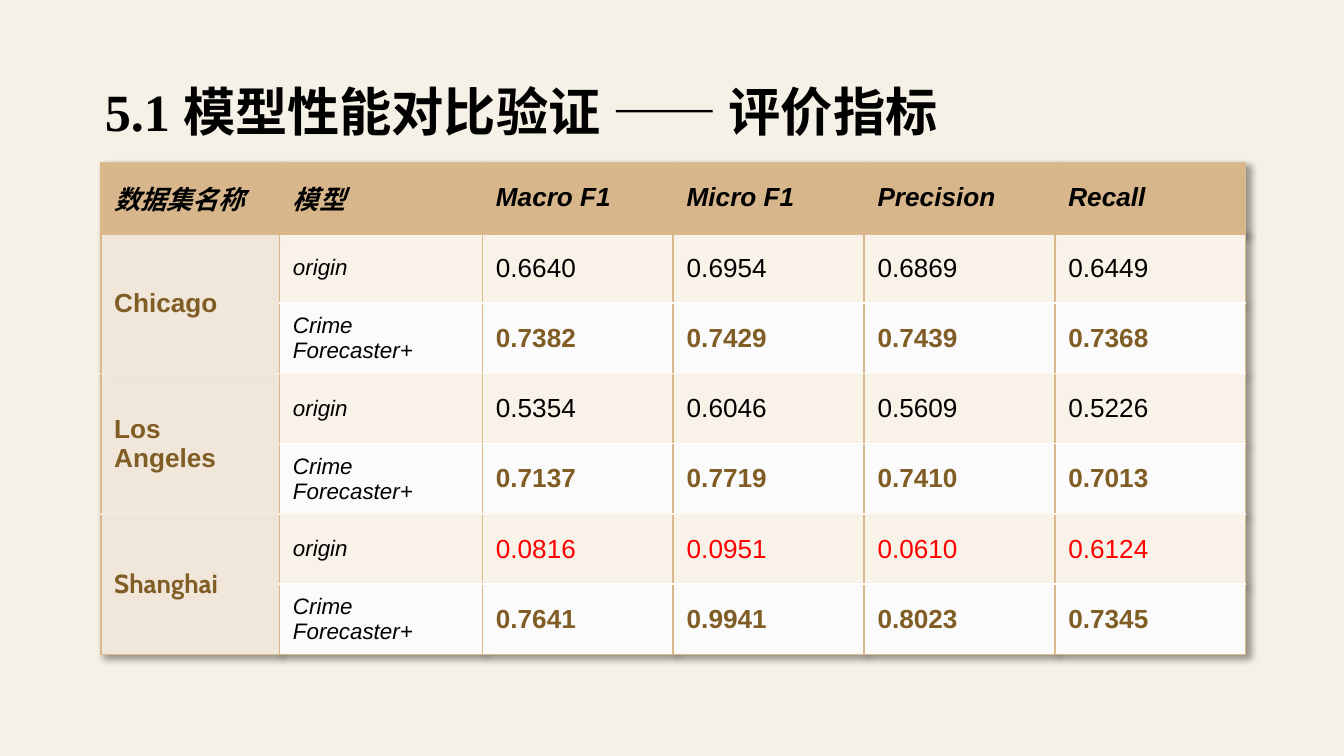
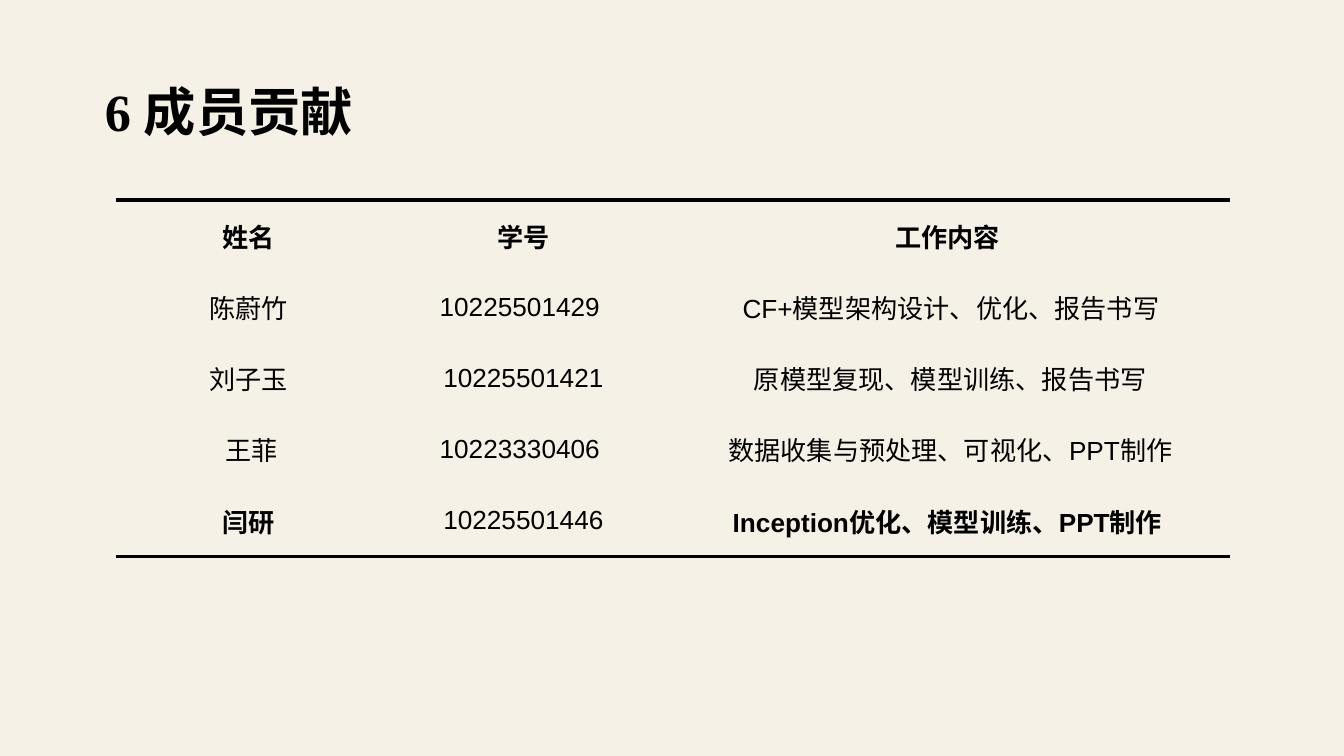
from lxml.etree import SubElement
from pptx import Presentation
from pptx.dml.color import RGBColor
from pptx.enum.text import MSO_ANCHOR as ANCHOR, PP_ALIGN as ALIGN
from pptx.oxml import parse_xml
from pptx.oxml.ns import nsdecls, qn
from pptx.util import Inches, Pt

PAPER = RGBColor(0xF6, 0xF1, 0xE7)
TAN = RGBColor(0xDA, 0xB8, 0x8B)
SAND = RGBColor(0xF3, 0xE9, 0xDD)
CREAM = RGBColor(0xFD, 0xF6, 0xEC)
WHITE = RGBColor(0xFF, 0xFF, 0xFF)
BLACK = RGBColor(0, 0, 0)
BROWN = RGBColor(0x80, 0x5D, 0x24)
RED = RGBColor(0xFF, 0, 0)

TITLE_FONT = "Times New Roman"
BODY_FONT = "Arial"
NO_STYLE = "{2D5ABB26-0587-4C30-8999-92F81FD0307C}"

METRIC_HEAD = ["数据集名称", "模型", "Macro F1", "Micro F1", "Precision", "Recall"]
# dataset, scores of the origin model, scores of Crime Forecaster+
RESULTS = [
    ("Chicago", ["0.6640", "0.6954", "0.6869", "0.6449"],
     ["0.7382", "0.7429", "0.7439", "0.7368"]),
    ("Los Angeles", ["0.5354", "0.6046", "0.5609", "0.5226"],
     ["0.7137", "0.7719", "0.7410", "0.7013"]),
    ("Shanghai", ["0.0816", "0.0951", "0.0610", "0.6124"],
     ["0.7641", "0.9941", "0.8023", "0.7345"]),
]
MEMBERS = [
    ("姓名", "学号", "工作内容"),
    ("陈蔚竹", "10225501429 ", " CF+模型架构设计、优化、报告书写"),
    ("刘子玉", "10225501421", " 原模型复现、模型训练、报告书写"),
    (" 王菲", "10223330406 ", " 数据收集与预处理、可视化、PPT制作"),
    ("闫研", "10225501446", "Inception优化、模型训练、PPT制作"),
]


def add_run(p, text, size=14, color=BLACK, bold=False, italic=False, font=BODY_FONT):
    r = p.add_run()
    r.text = text
    f = r.font
    f.name, f.size, f.bold, f.italic = font, Pt(size), bold, italic
    f.color.rgb = color


def add_titled_slide(prs, title):
    s = prs.slides.add_slide(prs.slide_layouts[6])
    s.background.fill.solid()
    s.background.fill.fore_color.rgb = PAPER
    tf = s.shapes.add_textbox(Inches(0.78), Inches(0.59), Inches(8.44), Inches(0.47)).text_frame
    tf.word_wrap = True
    tf.margin_left = tf.margin_top = tf.margin_right = tf.margin_bottom = 0
    add_run(tf.paragraphs[0], title, 28, bold=True, font=TITLE_FONT)
    return s


def add_plain_table(s, left, top, widths, height, rows):
    """Add a table with no style, its rows equally high."""
    frame = s.shapes.add_table(rows, len(widths), Inches(left), Inches(top),
                               Inches(sum(widths)), Inches(height))
    table = frame.table
    table.first_row = table.horz_banding = False
    table._tbl.tblPr.find(qn("a:tableStyleId")).text = NO_STYLE
    for col, width in zip(table.columns, widths):
        col.width = Inches(width)
    for row in table.rows:
        row.height = Inches(height / rows)
    return table


def add_shadow(table):
    table._tbl.tblPr.insert(0, parse_xml(
        f'<a:effectLst {nsdecls("a")}><a:outerShdw blurRad="50800" dist="38100" '
        'dir="2700000" algn="tl" rotWithShape="0"><a:srgbClr val="000000">'
        '<a:alpha val="40000"/></a:srgbClr></a:outerShdw></a:effectLst>'))


def fill_cell(cell, color, opacity=100):
    cell.fill.solid()
    cell.fill.fore_color.rgb = color
    if opacity < 100:
        rgb = cell._tc.tcPr.find(qn("a:solidFill"))[0]
        SubElement(rgb, qn("a:alpha"), val=str(opacity * 1000))


def set_borders(cell, **edges):
    """Draw edges L, R, T, B, each given as (colour, points)."""
    present = [side for side in "LRTB" if side in edges]
    for i, side in enumerate(present):
        color, width = edges[side]
        cell._tc.get_or_add_tcPr().insert(i, parse_xml(
            f'<a:ln{side} {nsdecls("a")} w="{Pt(width)}"><a:solidFill>'
            f'<a:srgbClr val="{color}"/></a:solidFill></a:ln{side}>'))


def write_cell(cell, text, align=None, **style):
    cell.vertical_anchor = ANCHOR.MIDDLE
    p = cell.text_frame.paragraphs[0]
    if align is not None:
        p.alignment = align
    add_run(p, text, **style)


def write_model_row(table, i, model, scores, **style):
    write_cell(table.cell(i, 1), model, size=12, italic=True)
    for j, score in enumerate(scores, 2):
        write_cell(table.cell(i, j), score, **style)


def paint_metric_table(table):
    """Colour header, dataset column and alternating model rows."""
    outer, heavy = (TAN, 1), (TAN, 3)
    model_lines = [outer, heavy] + [(WHITE, 1), (CREAM, 1)] * 2 + [(WHITE, 1), outer]
    # a merged cell takes its lower edge from its first row
    dataset_lines = [outer, heavy] + [(SAND, 1)] * 4 + [outer, outer]
    for i in range(len(table.rows)):
        for j in range(len(table.columns)):
            color = TAN if i == 0 else SAND if j == 0 else CREAM if i % 2 else WHITE
            lines = model_lines if j else dataset_lines
            fill_cell(table.cell(i, j), color, 97)
            set_borders(table.cell(i, j), L=outer, R=outer, T=lines[i], B=lines[i + 1])


def add_metric_table(s):
    table = add_plain_table(s, 0.75, 1.21, [1.33, 1.51] + [1.42] * 4, 3.66,
                            1 + 2 * len(RESULTS))
    add_shadow(table)
    paint_metric_table(table)
    for j, head in enumerate(METRIC_HEAD):
        write_cell(table.cell(0, j), head, bold=True, italic=True)
    for k, (dataset, origin, improved) in enumerate(RESULTS):
        i = 1 + 2 * k
        weak = dataset == "Shanghai"
        table.cell(i, 0).merge(table.cell(i + 1, 0))
        write_cell(table.cell(i, 0), dataset, color=BROWN, bold=True,
                   font="Cabin" if weak else BODY_FONT)
        write_model_row(table, i, "origin", origin, color=RED if weak else BLACK)
        write_model_row(table, i + 1, "Crime Forecaster+", improved, color=BROWN, bold=True)


def add_member_table(s):
    last = len(MEMBERS) - 1
    table = add_plain_table(s, 0.86, 1.49, [1.98, 2.11, 4.2], 2.65, len(MEMBERS))
    for i, member in enumerate(MEMBERS):
        for j, text in enumerate(member):
            cell = table.cell(i, j)
            cell.margin_left = cell.margin_right = 0
            cell.margin_top = cell.margin_bottom = Inches(0.03)
            fill_cell(cell, PAPER)
            if i in (0, last):
                set_borders(cell, **{"B" if i else "T": (BLACK, 2.25)})
            # the last row is bold apart from its number
            bold = i == 0 or (i == last and j != 1)
            write_cell(cell, text, ALIGN.CENTER, bold=bold)


def main():
    prs = Presentation()
    prs.slide_width = Inches(10)
    prs.slide_height = prs.slide_width * 9 // 16
    add_metric_table(add_titled_slide(prs, "5.1 模型性能对比验证 —— 评价指标"))
    add_member_table(add_titled_slide(prs, "6 成员贡献"))
    prs.save("out.pptx")


if __name__ == "__main__":
    main()
